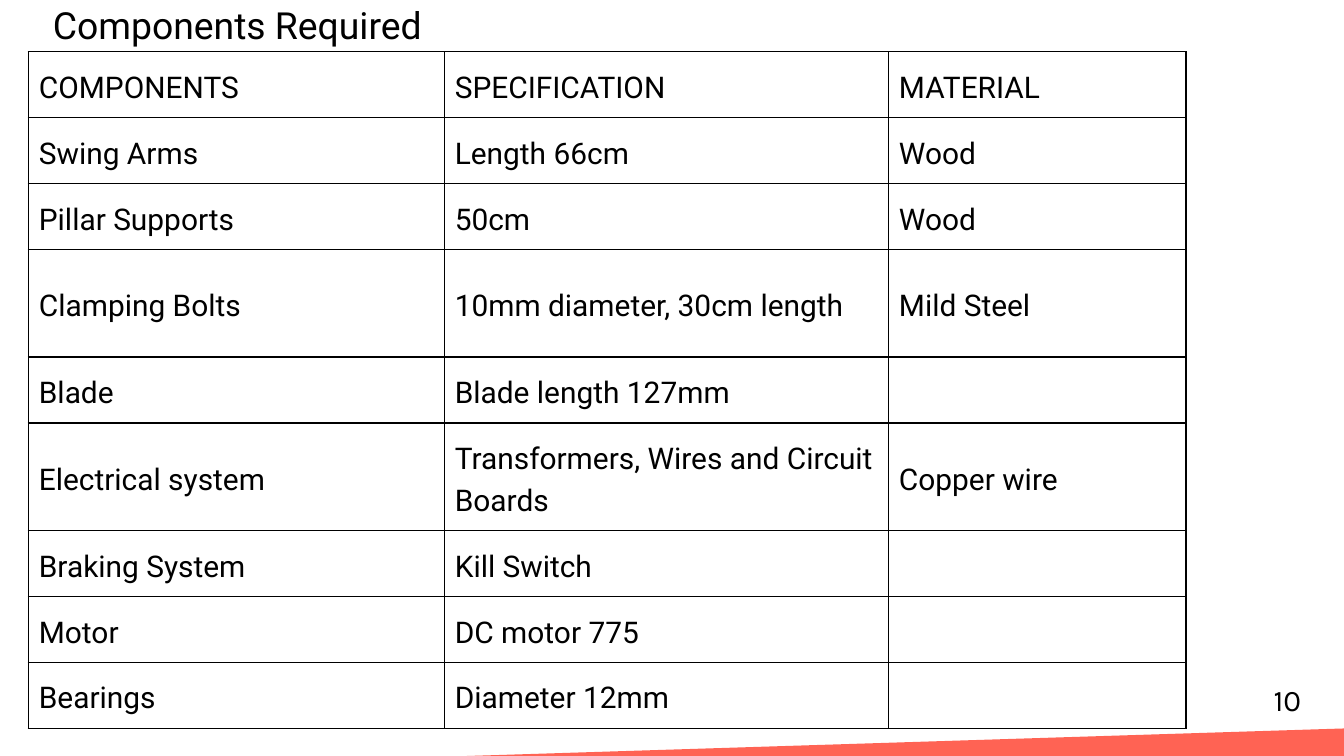
from lxml.etree import SubElement
from pptx import Presentation
from pptx.dml.color import RGBColor
from pptx.enum.text import MSO_ANCHOR, MSO_AUTO_SIZE, PP_ALIGN
from pptx.oxml.ns import qn
from pptx.util import Cm, Pt

BLACK = RGBColor(0x00, 0x00, 0x00)
CORAL = RGBColor(0xFF, 0x63, 0x54)

COLUMN_WIDTHS = [15.72, 16.79, 11.25]
ROW_HEIGHT, TALL_ROW_HEIGHT = 2.49, 4.07
TALL_ROWS = {"Clamping Bolts", "Electrical system"}
COMPONENTS = [
    ("COMPONENTS", "SPECIFICATION", "MATERIAL"),
    ("Swing Arms", "Length 66cm", "Wood"),
    ("Pillar Supports", "50cm", "Wood"),
    ("Clamping Bolts", "10mm diameter, 30cm length", "Mild Steel"),
    ("Blade", "Blade length 127mm", ""),
    ("Electrical system", "Transformers, Wires and Circuit Boards", "Copper wire"),
    ("Braking System", "Kill Switch", ""),
    ("Motor", "DC motor 775", ""),
    ("Bearings", "Diameter 12mm", ""),
]


class SlideBuilder:
    font = "Roboto"
    size = 32
    line_factor = 1.4
    cell_margin = Cm(0.4)
    border_width = Pt(1.5)

    def __init__(self, slide):
        self.slide = slide

    def add_text(self, paragraph, text, size=None, font=None, align=PP_ALIGN.LEFT):
        size = size or self.size
        paragraph.alignment = align
        paragraph.line_spacing = Pt(size * self.line_factor)
        run = paragraph.add_run()
        run.text = text
        run.font.name = font or self.font
        run.font.size = Pt(size)
        run.font.color.rgb = BLACK

    def fill_frame(self, shape, text, size=None, font=None):
        """Put centred text into a shape without insets."""
        frame = shape.text_frame
        frame.word_wrap = True
        frame.auto_size = MSO_AUTO_SIZE.SHAPE_TO_FIT_TEXT
        frame.vertical_anchor = MSO_ANCHOR.TOP
        frame.margin_left = frame.margin_right = 0
        frame.margin_top = frame.margin_bottom = 0
        self.add_text(frame.paragraphs[0], text, size, font, PP_ALIGN.CENTER)

    def title(self, text, left, top, width, height):
        shape = self.slide.shapes.title
        shape.left, shape.top = Cm(left), Cm(top)
        shape.width, shape.height = Cm(width), Cm(height)
        self.fill_frame(shape, text, size=40)

    def page_number(self, text, left, top, width, height):
        shape = self.slide.shapes.add_textbox(Cm(left), Cm(top), Cm(width), Cm(height))
        self.fill_frame(shape, text, font="Karla")

    def band(self, left, top, width, height, rotation):
        right, bottom = left + width, top + height
        builder = self.slide.shapes.build_freeform(Cm(left), Cm(top))
        builder.add_line_segments(
            [(Cm(right), Cm(top)), (Cm(right), Cm(bottom)), (Cm(left), Cm(bottom))])
        shape = builder.convert_to_shape()
        shape.rotation = rotation
        shape.shadow.inherit = False
        shape.fill.solid()
        shape.fill.fore_color.rgb = CORAL
        shape.line.fill.background()

    def border(self, cell):
        properties = cell._tc.get_or_add_tcPr()
        for index, side in enumerate(("a:lnL", "a:lnR", "a:lnT", "a:lnB")):
            line = SubElement(properties, qn(side), w=str(self.border_width))
            fill = SubElement(line, qn("a:solidFill"))
            SubElement(fill, qn("a:srgbClr"), val=str(BLACK))
            properties.insert(index, line)

    def table(self, rows, left, top, widths, heights):
        table = self.slide.shapes.add_table(
            len(rows), len(widths), Cm(left), Cm(top),
            Cm(sum(widths)), Cm(sum(heights))).table
        table.first_row = table.horz_banding = False
        for column, width in zip(table.columns, widths):
            column.width = Cm(width)
        for row, height, texts in zip(table.rows, heights, rows):
            row.height = Cm(height)
            for cell, text in zip(row.cells, texts):
                cell.fill.background()
                cell.vertical_anchor = MSO_ANCHOR.MIDDLE
                cell.margin_left = cell.margin_right = self.cell_margin
                cell.margin_top = cell.margin_bottom = self.cell_margin
                self.border(cell)
                if text:
                    self.add_text(cell.text_frame.paragraphs[0], text)


def main():
    presentation = Presentation()
    presentation.slide_width, presentation.slide_height = Cm(50.8), Cm(28.58)
    title_only = presentation.slide_layouts[5]
    builder = SlideBuilder(presentation.slides.add_slide(title_only))

    builder.band(8.92, 28.19, 42.39, 2.18, rotation=358.2)
    heights = [TALL_ROW_HEIGHT if row[0] in TALL_ROWS else ROW_HEIGHT
               for row in COMPONENTS]
    builder.table(COMPONENTS, 1.07, 1.96, COLUMN_WIDTHS, heights)
    builder.title("Components Required", 1.07, -0.2, 15.8, 1.88)
    builder.page_number("10", 47.96, 25.55, 1.4, 1.5)

    presentation.save("out.pptx")


if __name__ == "__main__":
    main()
